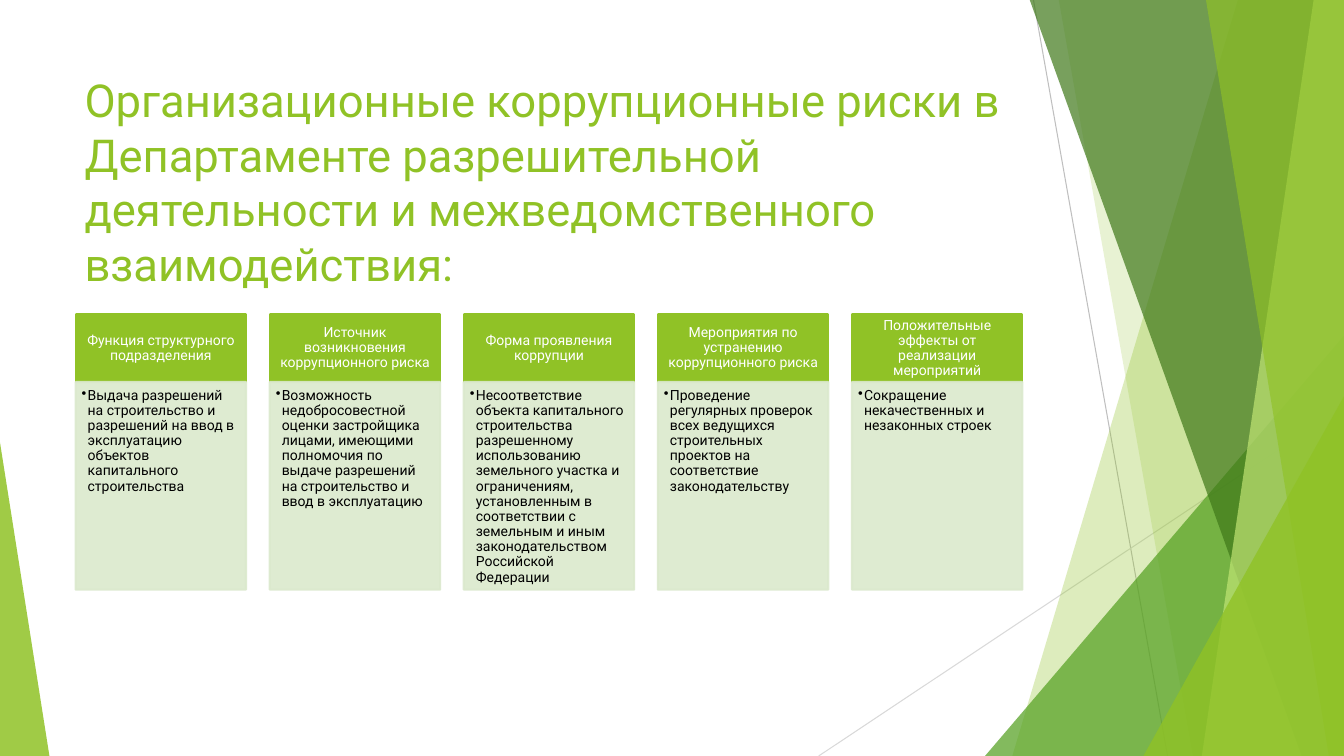
from dataclasses import dataclass
from typing import NamedTuple

import pptx
import pptx.dml.color
import pptx.enum.shapes
import pptx.enum.text
import pptx.oxml
import pptx.oxml.ns
import pptx.oxml.xmlchemy
import pptx.util
from lxml import etree
from pptx.util import Inches

SHAPES = pptx.enum.shapes.MSO_SHAPE
ALIGN = pptx.enum.text.PP_ALIGN
ANCHOR = pptx.enum.text.MSO_ANCHOR


@dataclass(frozen=True)
class Theme:
    font: str = "Roboto"
    lime: str = "90C226"
    green: str = "54A021"
    forest: str = "3F7819"
    light_lime: str = "C0E474"
    pale: str = "DBE9CD"
    white: str = "FFFFFF"
    black: str = "000000"
    title_size: float = 32.4
    card_size: float = 10


class Box(NamedTuple):
    left: float
    top: float
    width: float
    height: float

    def lengths(self) -> list:
        return [Inches(value) for value in self]


class Facet(NamedTuple):
    points: list
    color: str
    opacity: int


class Triangle(NamedTuple):
    box: Box
    apex: float
    color: str
    opacity: int


class Ray(NamedTuple):
    start: tuple
    end: tuple
    color: str


class Card(NamedTuple):
    heading: str
    body: str


class TextStyle(NamedTuple):
    size: float
    color: str
    insets: tuple
    anchor: object = ANCHOR.TOP
    align: object = ALIGN.LEFT
    spacing: float = 1.0


THEME = Theme()
TITLE_STYLE = TextStyle(THEME.title_size, THEME.lime, (0.1, 0.05, 0.1, 0.05))
HEADING_STYLE = TextStyle(THEME.card_size, THEME.white, (0.08, 0.04, 0.08, 0.04),
                          ANCHOR.MIDDLE, ALIGN.CENTER, 0.9)
BODY_STYLE = TextStyle(THEME.card_size, THEME.black, (0.06, 0.06, 0.08, 0.09), spacing=0.9)

RAYS = [
    Ray((10.25, 0), (11.58, 7.5), "BFBFBF"),
    Ray((13.33, 4.03), (8.12, 7.5), "D9D9D9"),
]


def band(top_left: float, bottom_left: float, color: str, opacity: int) -> Facet:
    """A facet that reaches the right edge, with a slanted left side."""
    points = [(top_left, -0.01), (13.33, -0.01), (13.33, 7.5), (bottom_left, 7.5)]
    return Facet(points, color, opacity)


# Decoration from back to front
DECORATION = [
    band(12.28, 10.04, THEME.lime, 30),
    band(10.5, 11.83, THEME.lime, 20),
    Triangle(Box(9.77, 3.33, 3.56, 4.17), 1, THEME.green, 72),
    band(10.21, 12.91, THEME.forest, 70),
    band(13.03, 11.92, THEME.light_lime, 70),
    band(11.96, 13.18, THEME.lime, 65),
    Triangle(Box(11.34, 3.93, 1.99, 3.57), 1, THEME.lime, 80),
    Triangle(Box(0, 4.39, 0.49, 3.11), 0, THEME.lime, 85),
]

TITLE = ("Организационные коррупционные риски в Департаменте\u00a0разрешительной "
         "деятельности и межведомственного взаимодействия:")
CARDS = [
    Card("Функция структурного подразделения",
         "Выдача разрешений на строительство и разрешений на ввод в эксплуатацию "
         "объектов капитального строительства"),
    Card("Источник возникновения коррупционного риска",
         "Возможность недобросовестной оценки застройщика лицами, имеющими полномочия "
         "по выдаче разрешений на строительство и ввод в эксплуатацию"),
    Card("Форма проявления коррупции",
         "Несоответствие объекта капитального строительства разрешенному использованию "
         "земельного участка и ограничениям, установленным в соответствии с земельным "
         "и иным законодательством Российской Федерации"),
    Card("Мероприятия по устранению коррупционного риска",
         "Проведение регулярных проверок всех ведущихся строительных проектов "
         "на соответствие законодательству"),
    Card("Положительные эффекты от реализации мероприятий",
         "Сокращение некачественных и незаконных строек"),
]
FIRST_LEFT, LAST_LEFT, CARD_WIDTH = 0.75, 8.45, 1.69
CARD_TOP, HEADING_HEIGHT, BODY_HEIGHT = 3.12, 0.67, 2.06
CARD_PITCH = (LAST_LEFT - FIRST_LEFT) / (len(CARDS) - 1)


def paint(fill, color: str, opacity: int = 100) -> None:
    fill.solid()
    fill.fore_color.rgb = pptx.dml.color.RGBColor.from_string(color)
    if opacity < 100:
        choice = fill._xPr.find(pptx.oxml.ns.qn("a:solidFill"))[0]
        etree.SubElement(choice, pptx.oxml.ns.qn("a:alpha"), val=str(opacity * 1000))


def draw_ray(slide, ray: Ray) -> None:
    ends = [Inches(value) for value in ray.start + ray.end]
    connector = slide.shapes.add_connector(pptx.enum.shapes.MSO_CONNECTOR.STRAIGHT, *ends)
    paint(connector.line.fill, ray.color)
    connector.line.width = pptx.util.Pt(0.75)
    etree.SubElement(connector._element.spPr, pptx.oxml.ns.qn("a:effectLst"))


def draw_decoration(slide, item) -> None:
    if isinstance(item, Triangle):
        shape = slide.shapes.add_shape(SHAPES.ISOSCELES_TRIANGLE, *item.box.lengths())
        shape.adjustments[0] = item.apex
    else:
        corners = [(Inches(x), Inches(y)) for x, y in item.points]
        builder = slide.shapes.build_freeform(*corners[0])
        builder.add_line_segments(corners[1:], close=True)
        shape = builder.convert_to_shape()
    shape.shadow.inherit = False
    shape.line.fill.background()
    paint(shape.fill, item.color, item.opacity)


def write(shape, text: str, style: TextStyle) -> None:
    frame = shape.text_frame
    frame.text = text
    frame.word_wrap = True
    frame.vertical_anchor = style.anchor
    (frame.margin_left, frame.margin_top,
     frame.margin_right, frame.margin_bottom) = map(Inches, style.insets)
    paragraph = frame.paragraphs[0]
    paragraph.alignment = style.align
    paragraph.line_spacing = style.spacing
    font = paragraph.runs[0].font
    font.name = THEME.font
    font.size = pptx.util.Pt(style.size)
    font.color.rgb = pptx.dml.color.RGBColor.from_string(style.color)


def add_bullet(paragraph) -> None:
    properties = paragraph._p.get_or_add_pPr()
    properties.set("marL", str(Inches(0.06)))
    properties.set("indent", str(Inches(-0.06)))
    etree.SubElement(properties, pptx.oxml.ns.qn("a:buChar"), char="•")


def draw_panel(slide, box: Box, color: str, opacity: int, text: str, style: TextStyle):
    panel = slide.shapes.add_shape(SHAPES.RECTANGLE, *box.lengths())
    panel.shadow.inherit = False
    paint(panel.fill, color, opacity)
    paint(panel.line.fill, color, opacity)
    panel.line.width = pptx.util.Pt(1.5)
    write(panel, text, style)
    return panel


def draw_card(slide, card: Card, left: float) -> None:
    heading_box = Box(left, CARD_TOP, CARD_WIDTH, HEADING_HEIGHT)
    body_box = Box(left, CARD_TOP + HEADING_HEIGHT, CARD_WIDTH, BODY_HEIGHT)
    draw_panel(slide, heading_box, THEME.lime, 100, card.heading, HEADING_STYLE)
    body = draw_panel(slide, body_box, THEME.pale, 90, card.body, BODY_STYLE)
    add_bullet(body.text_frame.paragraphs[0])


presentation = pptx.Presentation()
presentation.slide_width = Inches(13.33)
presentation.slide_height = Inches(7.5)
slide = presentation.slides.add_slide(presentation.slide_layouts[6])

# Background rays and facets
for ray in RAYS:
    draw_ray(slide, ray)
for item in DECORATION:
    draw_decoration(slide, item)

# Title
write(slide.shapes.add_textbox(*Box(0.74, 0.67, 9.4, 1.44).lengths()), TITLE, TITLE_STYLE)

# Risk cards
for index, card in enumerate(CARDS):
    draw_card(slide, card, FIRST_LEFT + index * CARD_PITCH)

presentation.save("out.pptx")
